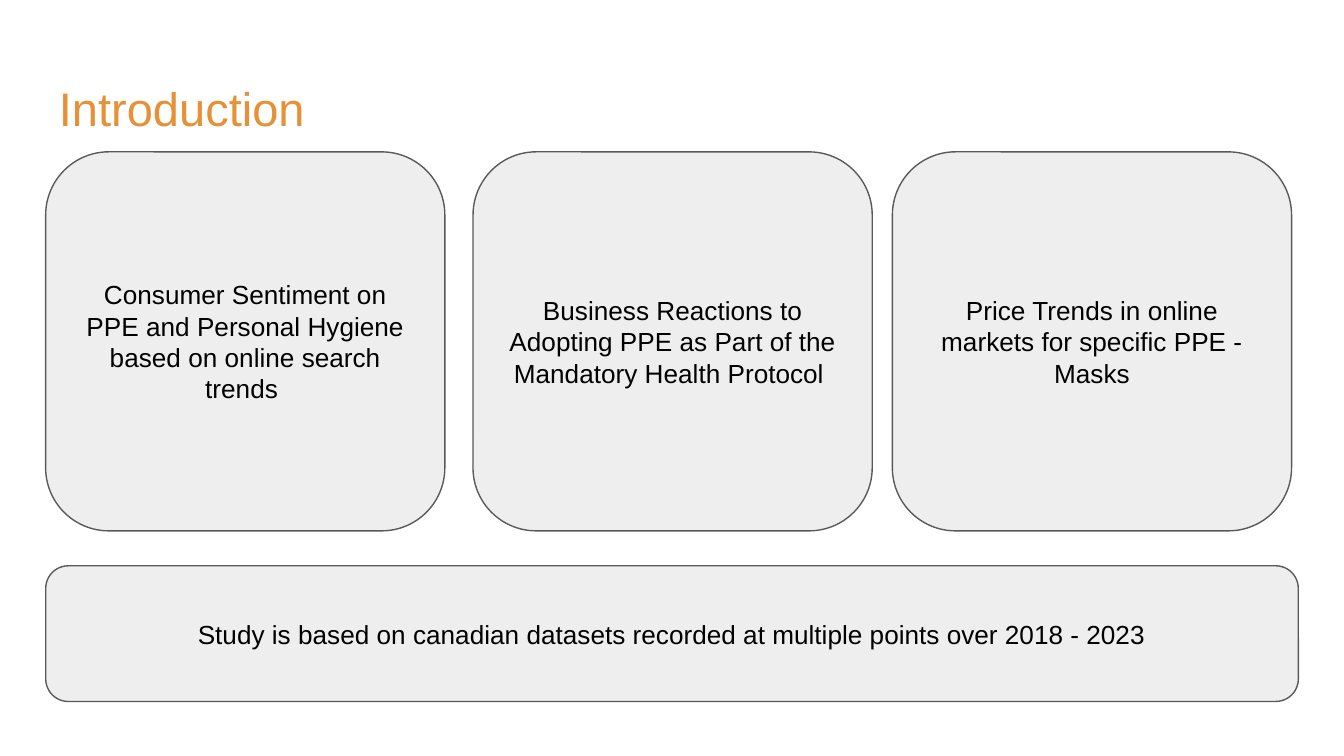
"""Build the Introduction slide: three topic cards above a study note."""
from dataclasses import dataclass

from pptx import Presentation
from pptx.dml.color import RGBColor
from pptx.enum.shapes import MSO_SHAPE
from pptx.enum.text import MSO_ANCHOR, PP_ALIGN
from pptx.util import Inches, Pt

ROUNDED = MSO_SHAPE.ROUNDED_RECTANGLE
TOP, MIDDLE = MSO_ANCHOR.TOP, MSO_ANCHOR.MIDDLE
LEFT, CENTER = PP_ALIGN.LEFT, PP_ALIGN.CENTER

TITLE = "Introduction"
TOPICS = [
    (0.34, "Consumer Sentiment on PPE and Personal Hygiene based on online search trends "),
    (3.52, "Business Reactions to Adopting PPE as Part of the Mandatory Health Protocol "),
    (6.64, "Price Trends in online markets for specific PPE - Masks"),
]
NOTE = "Study is based on canadian datasets recorded at multiple points over 2018 - 2023"

PAGE_WIDTH = 10
PAGE_HEIGHT = PAGE_WIDTH * 9 / 16
MARGIN = 0.34
CONTENT_WIDTH = PAGE_WIDTH - 2 * MARGIN
TITLE_ROW = (0.49, 0.63)
CARD_ROW = (1.13, 2.82)
NOTE_ROW = (4.21, 1.01)
CARD_WIDTH = 2.97
INSET = 0.1


@dataclass(frozen=True)
class Theme:
    """Hold the colours, font and sizes of the slide."""
    font: str = "Arial"
    title: str = "E69138"
    text: str = "000000"
    fill: str = "EEEEEE"
    outline: str = "595959"
    title_size: float = 25.2
    text_size: float = 14
    outline_width: float = 0.75
    corner: float = 1 / 6


THEME = Theme()


def place(left, width, row):
    """Return a box's position and size from its column and row."""
    top, height = row
    return [Inches(value) for value in (left, top, width, height)]


def write(box, text, size, color, align, anchor):
    """Write one styled paragraph into a box."""
    frame = box.text_frame
    frame.word_wrap = True
    frame.vertical_anchor = anchor
    frame.margin_left = frame.margin_right = Inches(INSET)
    frame.margin_top = frame.margin_bottom = Inches(INSET)
    para = frame.paragraphs[0]
    para.alignment = align
    span = para.add_run()
    span.text = text
    span.font.name = THEME.font
    span.font.size = Pt(size)
    span.font.color.rgb = RGBColor.from_string(color)


def add_card(page, left, width, row, text):
    """Add a rounded card with centred text."""
    card = page.shapes.add_shape(ROUNDED, *place(left, width, row))
    card.adjustments[0] = THEME.corner
    card.shadow.inherit = False
    card.fill.solid()
    card.fill.fore_color.rgb = RGBColor.from_string(THEME.fill)
    card.line.color.rgb = RGBColor.from_string(THEME.outline)
    card.line.width = Pt(THEME.outline_width)
    write(card, text, THEME.text_size, THEME.text, CENTER, MIDDLE)


def main():
    """Build and save the deck."""
    deck = Presentation()
    deck.slide_width, deck.slide_height = Inches(PAGE_WIDTH), Inches(PAGE_HEIGHT)
    page = deck.slides.add_slide(deck.slide_layouts[6])
    heading = page.shapes.add_textbox(*place(MARGIN, CONTENT_WIDTH, TITLE_ROW))
    write(heading, TITLE, THEME.title_size, THEME.title, LEFT, TOP)
    for left, topic in TOPICS:
        add_card(page, left, CARD_WIDTH, CARD_ROW, topic)
    add_card(page, MARGIN, CONTENT_WIDTH, NOTE_ROW, NOTE)
    deck.save("out.pptx")


if __name__ == "__main__":
    main()
